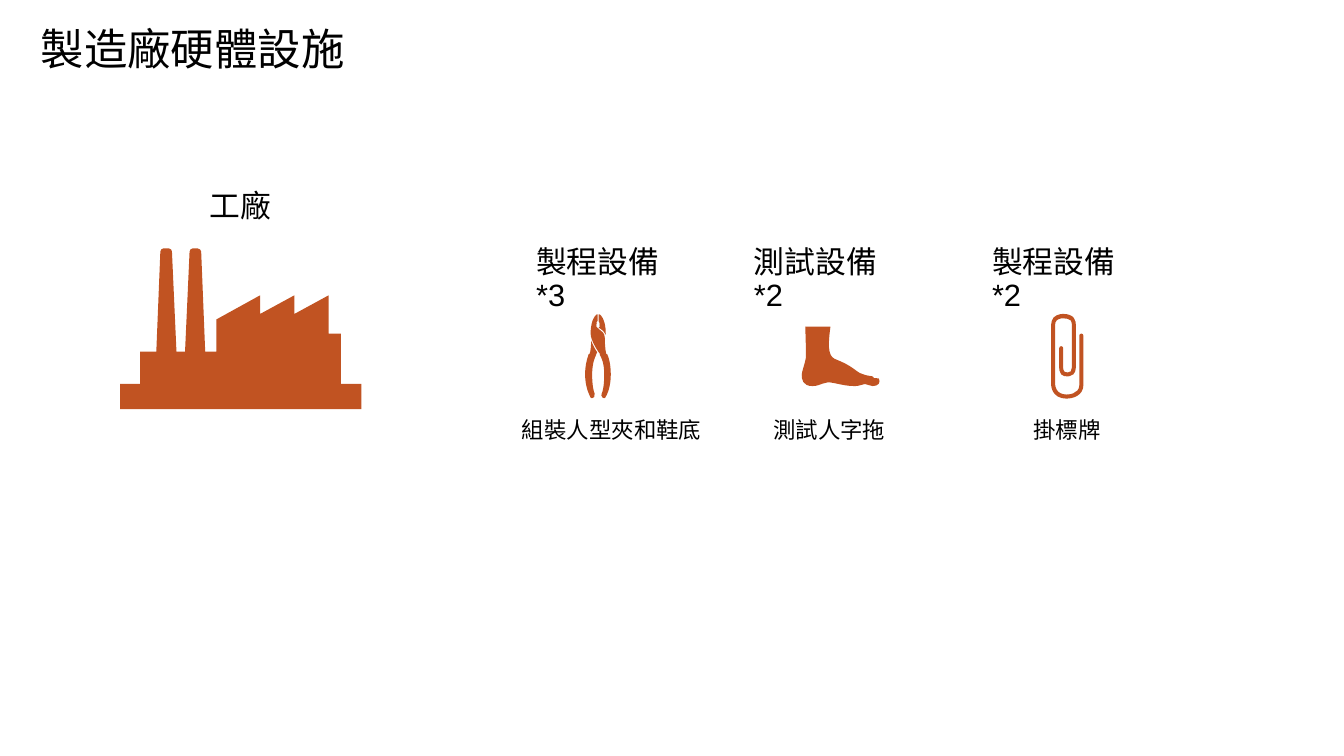
from pptx import Presentation
from pptx.dml.color import RGBColor
from pptx.enum.text import MSO_ANCHOR, MSO_AUTO_SIZE, PP_ALIGN
from pptx.oxml.ns import qn
from pptx.oxml.xmlchemy import OxmlElement
from pptx.util import Cm, Pt

BLACK = RGBColor(0x00, 0x00, 0x00)
RUST = RGBColor(0xC1, 0x53, 0x22)
FONT = "Arial"
PATH_UNIT = Cm(0.0254)

FACTORY = """
M 86 0 C 83 0 80 3 80 6 L 72 205 40 205 40 269 0 269 0 319 479 319
479 269 438 269 438 169 414 169 414 93 346 130 346 93 278 130 278 93
191 141 191 205 169 205 161 6 C 160 3 158 0 154 0 L 144 0
C 141 0 138 3 138 6 L 129 205 112 205 103 6 C 103 3 100 0 97 0 L 86 0
"""
PLIERS = """
M 23 0 C 23 0 11 7 11 38 11 51 24 71 30 79 29 79 29 80 29 80
32 84 38 96 38 119 38 141 35 153 33 157 32 160 32 162 34 164 L 35 165
C 37 167 39 166 40 165 44 159 51 143 51 119 51 97 46 83 44 79
44 79 43 78 42 78 40 72 39 55 39 45 39 37 32 33 32 33
L 22 24 23 23 21 22 23 21 21 20 23 19 22 18 24 17 22 16 24 14 23 13 25 13 25 0 23 0
M 27 0 L 27 12 28 13 27 14 29 16 28 17 30 18 28 19 30 20 28 21 30 22 28 23 30 24
C 29 25 28 25 27 26 L 34 31 C 34 31 39 35 41 40 41 39 41 39 41 38
41 7 29 0 29 0 L 27 0
M 12 52 C 12 62 11 73 9 78 8 78 8 79 7 79 6 83 0 97 0 119
0 143 8 159 11 165 12 166 15 167 16 165 L 18 164 C 19 162 20 160 19 157
17 153 14 141 14 119 14 96 20 84 22 80 23 80 22 79 22 79
23 78 23 76 24 75 20 69 15 60 12 52
"""
FOOT = """
M 7 0 C 7 0 9 51 8 63 6 75 0 89 0 96 0 103 1 118 21 118
39 118 43 107 64 112 83 116 91 118 106 118 114 118 122 114 126 114
130 114 135 118 141 118 152 118 157 111 153 103 146 102 143 102 143 102
143 102 143 98 136 98 128 97 122 95 115 92 107 88 100 78 70 66
55 61 50 50 57 0 44 0 7 0 7 0
"""
PAPERCLIP = """
M 24 0 C 23 0 12 0 5 7 2 11 0 16 0 21 L 0 140
C 0 141 0 168 31 168 43 168 64 162 64 141 L 64 43
C 64 41 62 39 60 39 57 39 56 41 56 43 L 56 141
C 56 160 32 160 31 160 9 160 8 142 8 140 L 8 21
C 8 18 9 15 11 13 16 8 24 9 24 9 L 24 9 C 31 9 36 10 39 13 41 16 41 20 41 20
L 41 21 41 107 C 41 110 40 112 39 114 36 116 32 116 32 116
L 32 116 C 29 116 27 115 26 114 24 112 24 108 24 108 L 24 68
C 24 66 22 64 20 64 18 64 16 66 16 68 L 16 107
C 16 109 16 115 20 120 23 123 27 124 32 124 33 124 39 124 44 120
47 117 49 113 49 107 L 49 21 C 49 19 49 13 45 8 41 3 34 0 24 0
"""

EQUIPMENT = [
    ("製程設備*3", 26.87, "組裝人型夾和鞋底", 26.16, 9.35, PLIERS, 29.49, 15.85),
    ("測試設備*2", 37.85, "測試人字拖", 38.83, 5.97, FOOT, 40.41, 16.46),
    ("製程設備*2", 49.85, "掛標牌", 51.94, 3.71, PAPERCLIP, 52.98, 15.82),
]


def outline_points(outline):
    command = "M"
    tokens = iter(outline.split())
    for token in tokens:
        if token in "MLC":
            command = token
        else:
            yield command, int(token), int(next(tokens))


def merge_curves(shape, commands):
    segments = list(shape._element.iter(qn("a:lnTo")))
    curve = None
    for segment, command in zip(segments, commands):
        if command != "C":
            continue
        if curve is None or len(curve) == 3:
            curve = OxmlElement("a:cubicBezTo")
            segment.addprevious(curve)
        curve.append(segment[0])
        segment.getparent().remove(segment)


class SlideBuilder:
    def __init__(self, slide):
        self.slide = slide

    def format_text(self, shape, text, size, wrap):
        frame = shape.text_frame
        frame.text = text
        frame.word_wrap = wrap
        frame.auto_size = MSO_AUTO_SIZE.NONE
        frame.vertical_anchor = MSO_ANCHOR.MIDDLE
        frame.margin_left = frame.margin_right = Cm(0.15)
        frame.margin_top = frame.margin_bottom = Cm(0.15)
        paragraph = frame.paragraphs[0]
        paragraph.alignment = PP_ALIGN.LEFT
        paragraph.line_spacing = 0.9
        paragraph.space_before = Pt(0)
        font = paragraph.runs[0].font
        font.name, font.size, font.color.rgb = FONT, Pt(size), BLACK

    def title(self, text, left, top, width, height, size):
        shape = self.slide.shapes.title
        shape.left, shape.top = Cm(left), Cm(top)
        shape.width, shape.height = Cm(width), Cm(height)
        self.format_text(shape, text, size, True)

    def label(self, text, left, top, width, height, size, wrap=False):
        shape = self.slide.shapes.add_textbox(Cm(left), Cm(top), Cm(width), Cm(height))
        self.format_text(shape, text, size, wrap)

    def icon(self, outline, left, top):
        builder, commands, contours = None, [], []
        for command, x, y in outline_points(outline):
            point = (Cm(left) + x * PATH_UNIT, Cm(top) + y * PATH_UNIT)
            if command == "M":
                contours.append([point])
            else:
                contours[-1].append(point)
                commands.append(command)
        for start, *points in contours:
            if builder is None:
                builder = self.slide.shapes.build_freeform(*start)
            else:
                builder.move_to(*start)
            builder.add_line_segments(points, close=True)
        shape = builder.convert_to_shape()
        merge_curves(shape, commands)
        shape.shadow.inherit = False
        shape.fill.solid()
        shape.fill.fore_color.rgb = RUST
        shape.line.fill.background()


def main():
    presentation = Presentation()
    presentation.slide_width, presentation.slide_height = Cm(67.74), Cm(38.1)
    slide = presentation.slides.add_slide(presentation.slide_layouts[5])
    builder = SlideBuilder(slide)
    builder.title("製造廠硬體設施", 1.9, 0.94, 16.2, 3.35, 62)
    builder.label("工廠", 10.41, 9.22, 3.43, 2.46, 44)
    builder.icon(FACTORY, 6.05, 12.52)
    for heading, heading_left, caption, caption_left, caption_width, outline, left, top in EQUIPMENT:
        builder.label(heading, heading_left, 12.78, 7.75, 2.67, 44, wrap=True)
        builder.icon(outline, left, top)
        builder.label(caption, caption_left, 20.8, caption_width, 1.88, 32)
    presentation.save("out.pptx")


if __name__ == "__main__":
    main()
